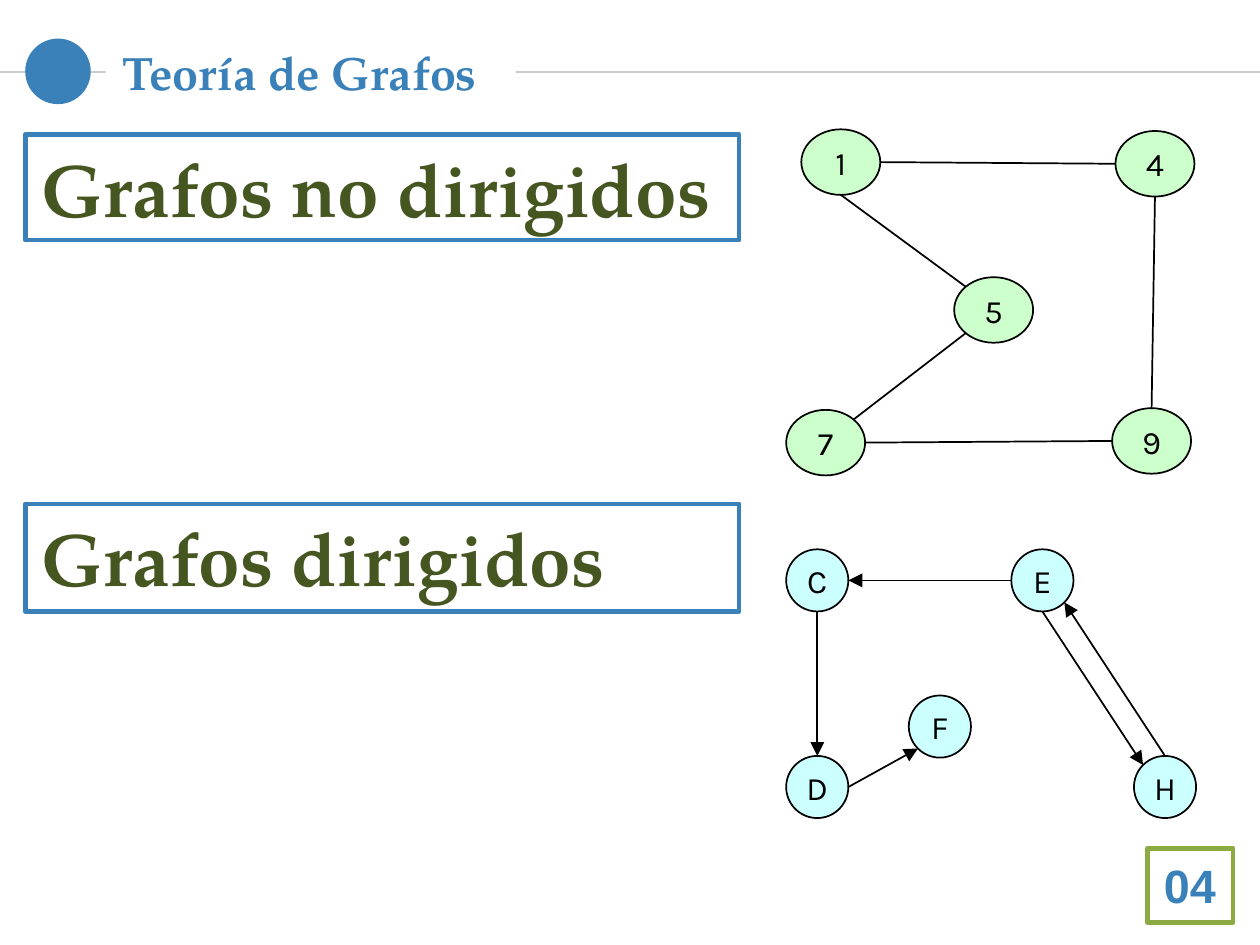
from dataclasses import dataclass
from math import cos, radians, sin

from lxml.etree import SubElement
from pptx import Presentation
from pptx.dml.color import RGBColor
from pptx.enum.shapes import MSO_CONNECTOR, MSO_SHAPE
from pptx.enum.text import MSO_ANCHOR, PP_ALIGN
from pptx.oxml.ns import qn
from pptx.util import Inches, Pt


@dataclass(frozen=True)
class Theme:
    blue: str = "3A81BA"
    olive: str = "465621"
    green: str = "8BAB42"
    grey: str = "CCCCCC"
    black: str = "000000"
    white: str = "FFFFFF"
    thin: float = 0.75
    thick: float = 2


THEME = Theme()
SLIDE_WIDTH = 7.5
SLIDE_HEIGHT = SLIDE_WIDTH * 3 / 4
MARGIN = 0.15
RULE_Y = 0.43

FORMATS = {
    "title": {"size": Pt(20), "name": "TeX Gyre Pagella", "bold": True, "color": THEME.blue},
    "heading": {"size": Pt(32), "name": "TeX Gyre Pagella", "bold": True, "color": THEME.olive},
    "number": {"size": Pt(20), "name": "Arial", "bold": True, "color": THEME.blue},
    "node": {"size": Pt(14), "name": "Karla", "bold": False, "color": THEME.black},
}

# text, format, (left, top, width, height), outline, frame settings
BOXES = [
    ("Teoría de Grafos", "title", (0.63, 0.19, 2.44, 0.48), None,
     {"vertical_anchor": MSO_ANCHOR.MIDDLE, "margin_top": Inches(0.1), "margin_bottom": Inches(0.1)}),
    ("04", "number", (6.83, 5.05, 0.51, 0.44), THEME.green, {}),
    ("Grafos dirigidos", "heading", (MARGIN, 3, 4.25, 0.64), THEME.blue, {}),
    ("Grafos no dirigidos", "heading", (MARGIN, 0.8, 4.25, 0.63), THEME.blue, {}),
]

# Nodes give left and top; edges give node and side at both ends
GRAPHS = [
    {
        "fill": "CCFFFF", "size": (0.37, 0.37), "directed": True,
        "nodes": {"C": (4.68, 3.27), "E": (6.02, 3.27), "D": (4.68, 4.5),
                  "F": (5.41, 4.14), "H": (6.75, 4.5)},
        "edges": [("E", "left", "C", "right"), ("C", "bottom", "D", "top"),
                  ("D", "right", "F", "bottom left"), ("E", "bottom", "H", "top left"),
                  ("H", "top", "E", "bottom right")],
    },
    {
        "fill": "CCFFCC", "size": (0.47, 0.39), "directed": False,
        "nodes": {"1": (4.77, 0.77), "4": (6.64, 0.78), "5": (5.68, 1.65),
                  "7": (4.68, 2.44), "9": (6.62, 2.43)},
        "edges": [("1", "right", "4", "left"), ("1", "bottom", "5", "top left"),
                  ("5", "bottom left", "7", "top right"), ("7", "right", "9", "left"),
                  ("9", "top", "4", "bottom")],
    },
]

SIDES = ["right", "bottom right", "bottom", "bottom left", "left", "top left", "top", "top right"]
SIDE_ANGLES = {side: radians(45 * index) for index, side in enumerate(SIDES)}


def add_shape(shapes, preset, bounds, fill, outline=None, weight=THEME.thin):
    shape = shapes.add_shape(preset, *map(Inches, bounds))
    shape.shadow.inherit = False
    shape.fill.solid()
    shape.fill.fore_color.rgb = RGBColor.from_string(fill)
    if outline:
        shape.line.color.rgb = RGBColor.from_string(outline)
        shape.line.width = Pt(weight)
    else:
        shape.line.fill.background()
    return shape


def write_text(shape, text, format_name, alignment, settings):
    frame = shape.text_frame
    for name, value in settings.items():
        setattr(frame, name, value)
    paragraph = frame.paragraphs[0]
    paragraph.alignment = alignment
    run = paragraph.add_run()
    run.text = text
    for name, value in FORMATS[format_name].items():
        if name == "color":
            run.font.color.rgb = RGBColor.from_string(value)
        else:
            setattr(run.font, name, value)


def add_line(shapes, start, end, color, arrow=False):
    line = shapes.add_connector(MSO_CONNECTOR.STRAIGHT, *map(Inches, (*start, *end)))
    line.line.color.rgb = RGBColor.from_string(color)
    line.line.width = Pt(THEME.thin)
    if arrow:
        SubElement(line.line._get_or_add_ln(), qn("a:tailEnd"), type="triangle")
    SubElement(line._element.spPr, qn("a:effectLst"))


def rim_point(corner, size, side):
    """Return the point on a node's ellipse that faces the given side."""
    angle = SIDE_ANGLES[side]
    return (corner[0] + size[0] / 2 * (1 + cos(angle)),
            corner[1] + size[1] / 2 * (1 + sin(angle)))


def add_graph(slide, graph):
    shapes = slide.shapes.add_group_shape().shapes
    nodes, size = graph["nodes"], graph["size"]
    for label, corner in nodes.items():
        node = add_shape(shapes, MSO_SHAPE.OVAL, (*corner, *size), graph["fill"], THEME.black)
        write_text(node, label, "node", PP_ALIGN.CENTER,
                   {"word_wrap": False, "vertical_anchor": MSO_ANCHOR.MIDDLE})
    for source, source_side, target, target_side in graph["edges"]:
        add_line(shapes, rim_point(nodes[source], size, source_side),
                 rim_point(nodes[target], size, target_side), THEME.black, graph["directed"])


def main():
    presentation = Presentation()
    presentation.slide_width = Inches(SLIDE_WIDTH)
    presentation.slide_height = Inches(SLIDE_HEIGHT)
    slide = presentation.slides.add_slide(presentation.slide_layouts[6])

    add_line(slide.shapes, (0, RULE_Y), (SLIDE_WIDTH, RULE_Y), THEME.grey)
    add_shape(slide.shapes, MSO_SHAPE.OVAL, (MARGIN, 0.23, 0.39, 0.39), THEME.blue)
    for text, format_name, bounds, outline, settings in BOXES:
        box = add_shape(slide.shapes, MSO_SHAPE.RECTANGLE, bounds, THEME.white, outline, THEME.thick)
        write_text(box, text, format_name, PP_ALIGN.LEFT,
                   {"word_wrap": True, "vertical_anchor": MSO_ANCHOR.TOP, **settings})
    for graph in GRAPHS:
        add_graph(slide, graph)
    presentation.save("out.pptx")


if __name__ == "__main__":
    main()
